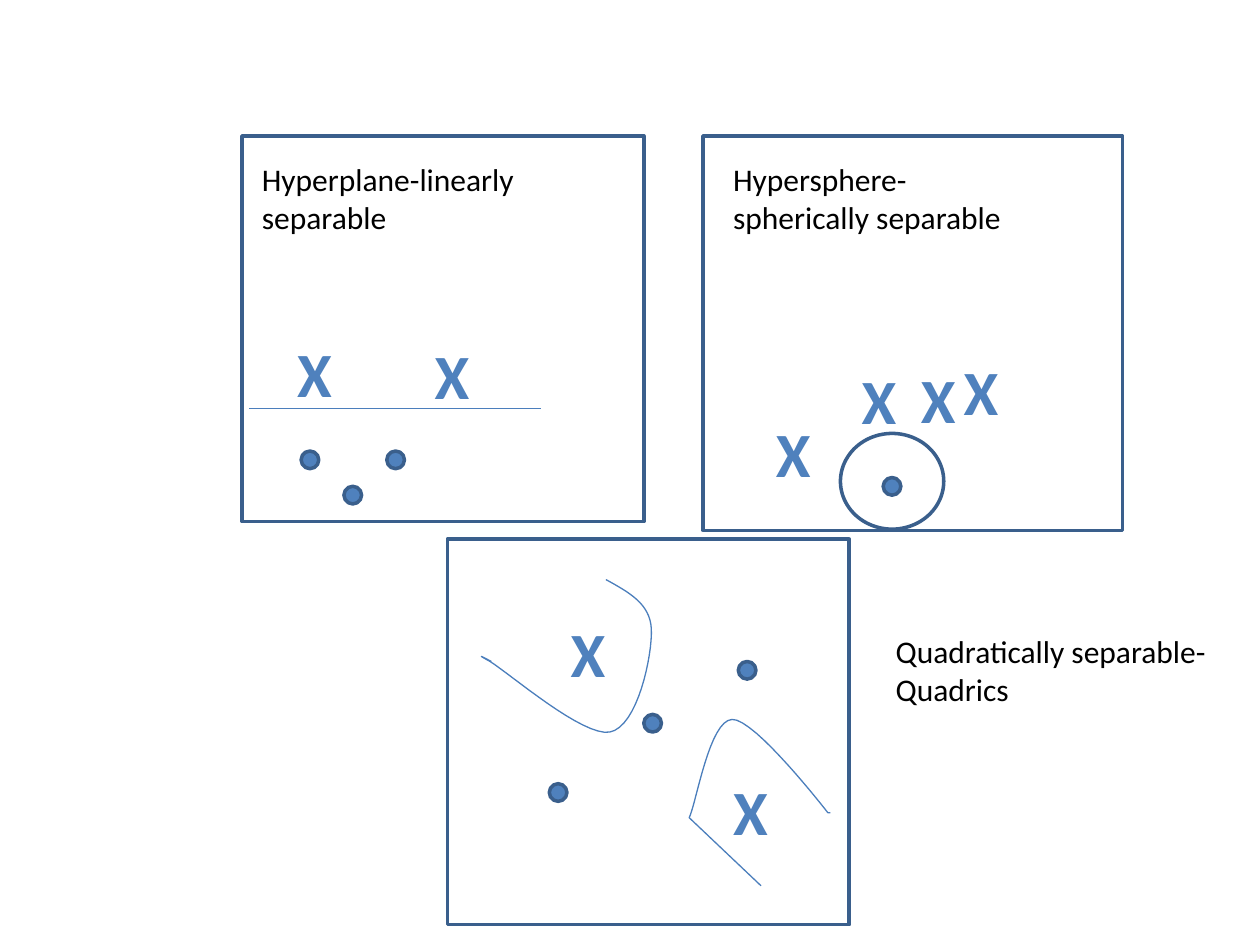
from lxml import etree
from pptx import Presentation
from pptx import util as u
from pptx.dml.color import RGBColor
from pptx.enum import shapes, text
from pptx.oxml import ns

WHITE = RGBColor(0xFF, 0xFF, 0xFF)
BLACK = RGBColor(0x00, 0x00, 0x00)
BLUE = RGBColor(0x4F, 0x81, 0xBD)
EDGE = RGBColor(0x3A, 0x5F, 0x8C)
BOUNDARY = RGBColor(0x4B, 0x7E, 0xBC)

COLUMNS, ROWS = 100, 75  # square grid cells
DOT = 1.4                # diameter of a class member, in cells


class Diagram:
    """Style and current slide; every length is in grid cells."""

    font = "Calibri"
    caption = {"size": u.Pt(18), "bold": False}
    cross_mark = {"size": u.Pt(36), "bold": True}

    def __init__(self, prs):
        self.slide = prs.slides.add_slide(prs.slide_layouts[6])
        self.cell_w = prs.slide_width / COLUMNS
        self.cell_h = prs.slide_height / ROWS

    def grid(self, x, y):
        return u.Emu(round(x * self.cell_w)), u.Emu(round(y * self.cell_h))

    def outline(self, shape, color, width):
        shape.line.color.rgb = color
        shape.line.width = u.Pt(width)

    def preset(self, kind, x, y, w, h, fill=None):
        shape = self.slide.shapes.add_shape(kind, *self.grid(x, y), *self.grid(w, h))
        shape.shadow.inherit = False
        if fill is None:
            shape.fill.background()
        else:
            shape.fill.solid()
            shape.fill.fore_color.rgb = fill
        self.outline(shape, EDGE, 2)

    def panel(self, x, y, w, h):
        self.preset(shapes.MSO_SHAPE.RECTANGLE, x, y, w, h, WHITE)

    def sphere(self, x, y, w, h):
        self.preset(shapes.MSO_SHAPE.OVAL, x, y, w, h)

    def dots(self, *places):
        for x, y in places:
            self.preset(shapes.MSO_SHAPE.OVAL, x, y, DOT, DOT, BLUE)

    def label(self, words, x, y, w, h, style, color):
        box = self.slide.shapes.add_textbox(*self.grid(x, y), *self.grid(w, h))
        frame = box.text_frame
        frame.word_wrap = True
        frame.auto_size = text.MSO_AUTO_SIZE.NONE
        run = frame.paragraphs[0].add_run()
        run.text = words
        for name, value in {"name": self.font, **style}.items():
            setattr(run.font, name, value)
        run.font.color.rgb = color

    def title(self, words, x, y, w, h):
        self.label(words, x, y, w, h, self.caption, BLACK)

    def crosses(self, *places):
        for x, y in places:
            self.label("X", x, y, 4.1, 6.3, self.cross_mark, BLUE)

    def straight(self, x1, y1, x2, y2):
        line = self.slide.shapes.add_connector(
            shapes.MSO_CONNECTOR.STRAIGHT, *self.grid(x1, y1), *self.grid(x2, y2))
        self.outline(line, BOUNDARY, 0.75)
        etree.SubElement(line._element.spPr, ns.qn("a:effectLst"))

    def curve(self, start, *steps, samples=16):
        """Each step is an end point, or two Bezier handles and an end point."""
        points = [start]
        for step in steps:
            if len(step) == 1:
                points.append(step[0])
                continue
            knots = (points[-1], *step)
            for i in range(1, samples + 1):
                t = i / samples
                weights = ((1 - t) ** 3, 3 * t * (1 - t) ** 2,
                           3 * t ** 2 * (1 - t), t ** 3)
                points.append(tuple(
                    sum(k * w for k, w in zip(axis, weights)) for axis in zip(*knots)))
        builder = self.slide.shapes.build_freeform(*self.grid(*points[0]))
        builder.add_line_segments([self.grid(*p) for p in points[1:]], close=False)
        shape = builder.convert_to_shape()
        shape.shadow.inherit = False
        shape.fill.background()
        self.outline(shape, BOUNDARY, 0.75)


def main():
    prs = Presentation()
    prs.slide_width, prs.slide_height = u.Inches(10), u.Inches(7.5)
    diagram = Diagram(prs)

    # Linear separation
    diagram.panel(19.2, 10.8, 31.9, 30.6)
    diagram.straight(19.8, 32.4, 42.9, 32.4)
    diagram.dots((23.9, 35.8), (30.7, 35.8), (27.3, 38.6))
    diagram.crosses((22.6, 26.1), (33.5, 26.2))
    diagram.title("Hyperplane-linearly separable", 19.8, 12.2, 25.8, 8.1)

    # Spherical separation
    diagram.panel(55.8, 10.8, 33.3, 31.3)
    diagram.title("Hypersphere-spherically separable", 57.2, 12.2, 25.8, 11.7)
    diagram.sphere(66.7, 34.4, 8.2, 7.6)
    diagram.dots((70.1, 37.9))
    diagram.crosses((67.4, 28.2), (75.5, 27.5), (60.6, 32.4), (72.1, 28.1))

    # Quadratic separation
    diagram.panel(35.5, 42.8, 31.9, 30.6)
    diagram.dots((58.6, 52.5), (51.1, 56.7), (43.6, 62.2))
    diagram.crosses((44.3, 48.3), (57.2, 60.8))
    diagram.curve((48.1, 46),
                  ((49.9, 47), (51.6, 47.9), (51.7, 49.9)),
                  ((51.8, 52), (50.6, 57.7), (48.4, 58.1)),
                  ((46.3, 58.5), (40.5, 53.5), (38.9, 52.5)),
                  ((37.3, 51.6), (39, 52.5), (39, 52.5)))
    diagram.curve((60.4, 70.3),
                  ((54.7, 64.9),),
                  ((55.3, 63.6), (56.3, 57.2), (58.1, 57.1)),
                  ((59.9, 57), (65.7, 64.5), (65.7, 64.5)),
                  ((65.9, 64.5),))
    diagram.title("Quadratically separable- Quadrics", 70.1, 49.7, 29.9, 8.1)

    prs.save("out.pptx")


if __name__ == "__main__":
    main()
